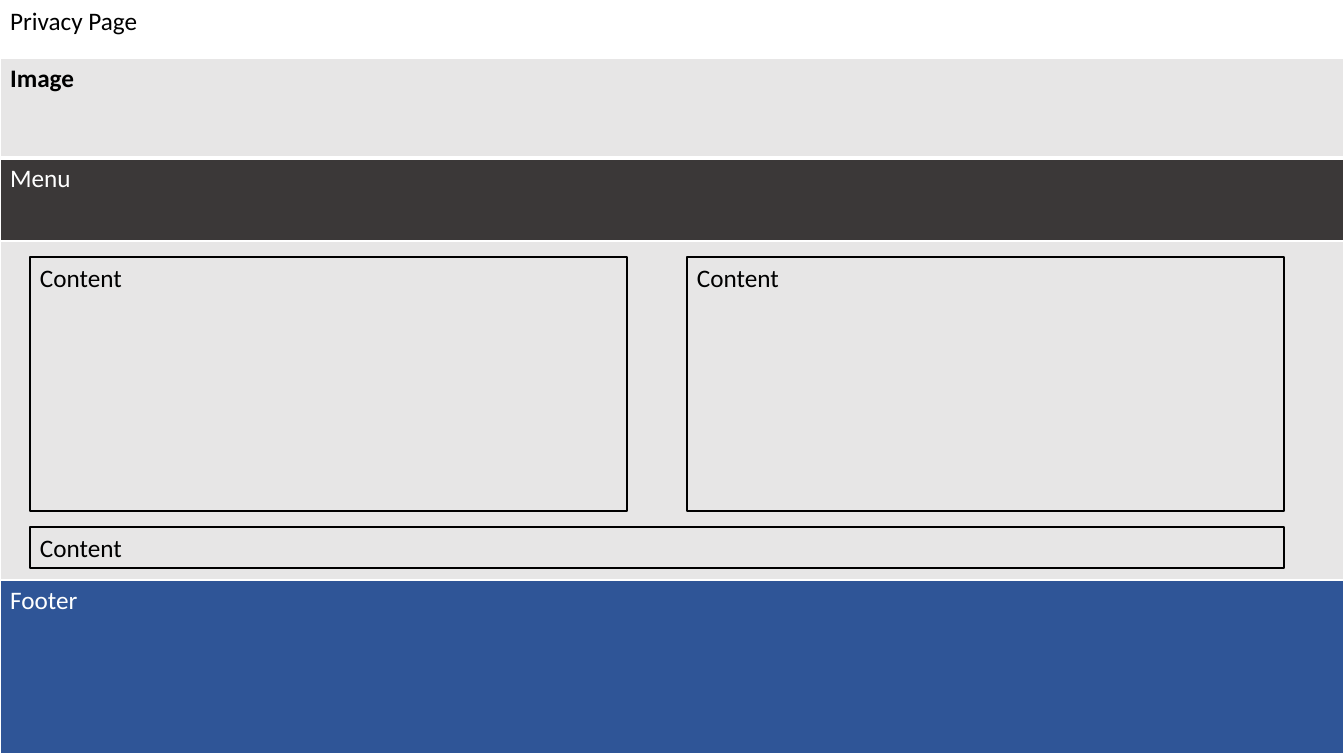
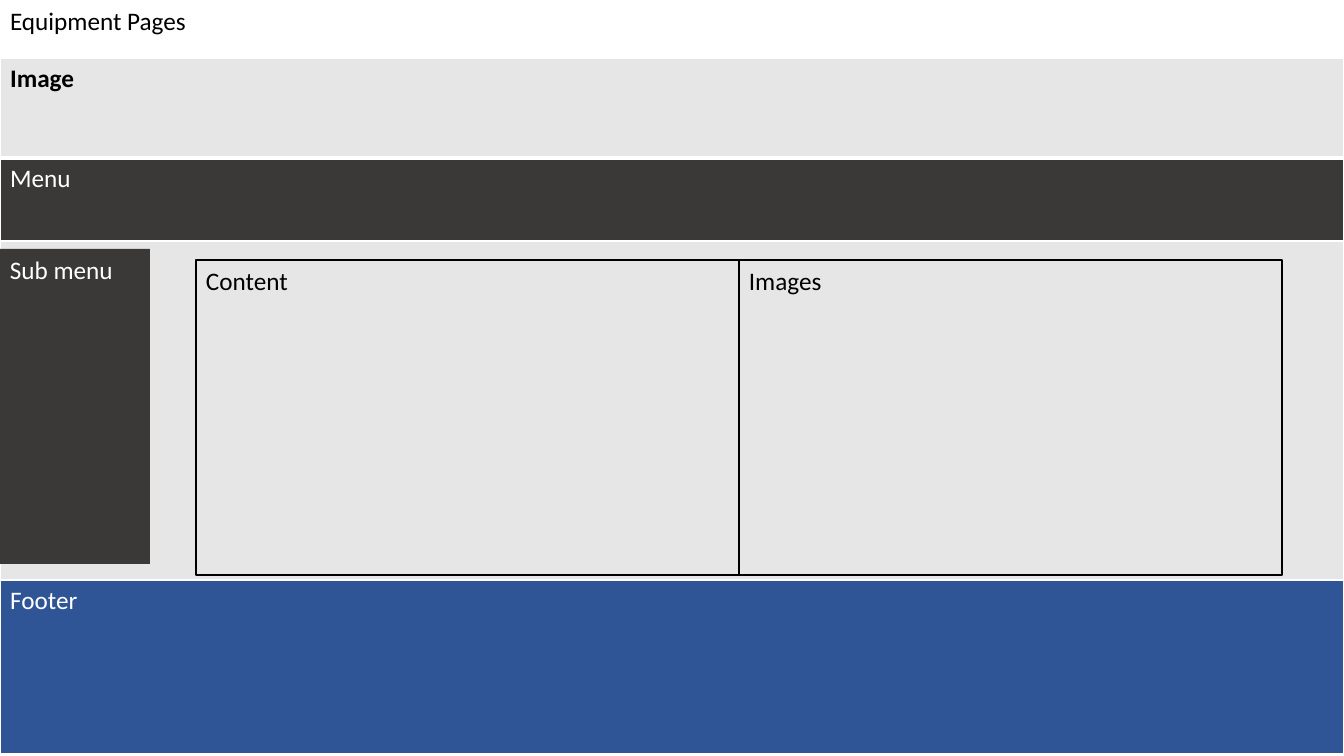
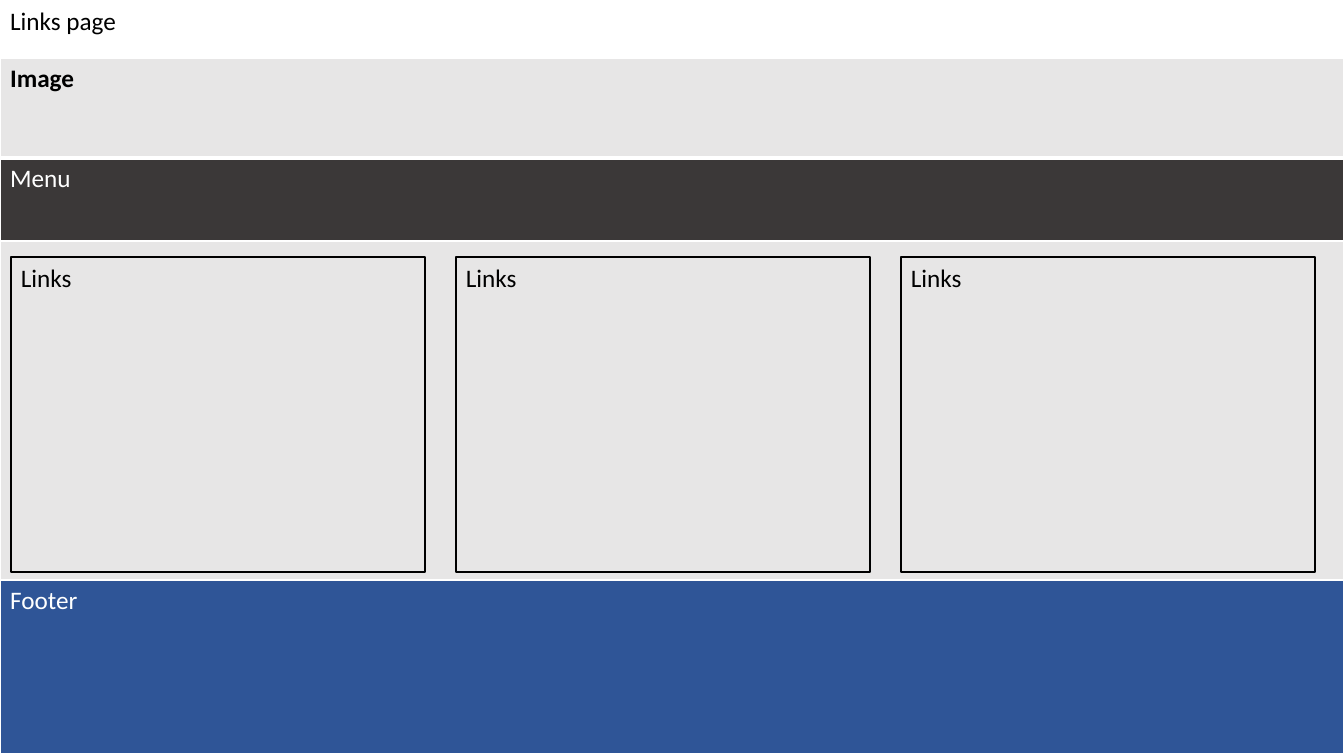
from lxml.etree import SubElement
from pptx import Presentation
from pptx.dml.color import RGBColor
from pptx.enum.shapes import MSO_SHAPE as Preset
from pptx.enum.text import MSO_ANCHOR as Anchor, MSO_AUTO_SIZE as AutoSize, PP_ALIGN as Align
from pptx.oxml.ns import qn
from pptx.util import Emu, Pt

SCALE = 12192000 / 1344
WIDTH, HEIGHT = 1344, 756
BLACK, WHITE = "000000", "FFFFFF"
LIGHT, DARK, BLUE = "E7E6E6", "3B3838", "2F5597"
BANDS = [
    ("Image", 100, LIGHT, BLACK),
    ("Menu", 83, DARK, WHITE),
    ("", 339, LIGHT, BLACK),
    ("Footer", 174, BLUE, WHITE),
]
TITLE_HEIGHT = 40
BANDS_TOP = 58


def px(length):
    """Turn picture pixels into EMU."""
    return Emu(round(length * SCALE))


def color(value):
    """Turn a hex string into a colour."""
    return RGBColor.from_string(value)


def write(frame, text, ink=BLACK, bold=False, size=18, font="Calibri"):
    """Write one left-aligned line at the top of a text frame."""
    frame.word_wrap = True
    frame.vertical_anchor = Anchor.TOP
    paragraph = frame.paragraphs[0]
    paragraph.alignment = Align.LEFT
    run = paragraph.add_run()
    run.text = text
    run.font.name, run.font.size, run.font.bold = font, Pt(size), bold
    run.font.color.rgb = color(ink)


def set_borders(cell, **widths):
    """Give a cell white borders, with widths in points per side."""
    properties = cell._tc.get_or_add_tcPr()
    for side in "LRTB":
        line = SubElement(properties, qn(f"a:ln{side}"), w=str(Pt(widths.get(side, 1))))
        fill = SubElement(line, qn("a:solidFill"))
        SubElement(fill, qn("a:srgbClr"), val=WHITE)


class Wireframe:
    """Draws page wireframes that share a title and page bands."""

    def __init__(self):
        """Start an empty widescreen presentation."""
        self.presentation = Presentation()
        self.presentation.slide_width = px(WIDTH)
        self.presentation.slide_height = px(HEIGHT)
        self.slide = None

    def page(self, title):
        """Add a slide with its title and page bands."""
        layout = self.presentation.slide_layouts.get_by_name("Title Only")
        self.slide = self.presentation.slides.add_slide(layout)
        self.title(title)
        self.bands()

    def title(self, text):
        """Place the title along the top edge."""
        shape = self.slide.shapes.title
        shape.left, shape.top = px(0), px(0)
        shape.width, shape.height = px(WIDTH), px(TITLE_HEIGHT)
        write(shape.text_frame, text)
        shape.text_frame.auto_size = AutoSize.SHAPE_TO_FIT_TEXT

    def bands(self):
        """Add the table of full-width page bands."""
        total = sum(height for _, height, _, _ in BANDS)
        table = self.slide.shapes.add_table(
            len(BANDS), 1, px(0), px(BANDS_TOP), px(WIDTH), px(total)).table
        table.first_row = table.horz_banding = False
        for index, (text, height, fill, ink) in enumerate(BANDS):
            table.rows[index].height = px(height)
            cell = table.cell(index, 0)
            set_borders(cell, T=3 if index == 1 else 1, B=3 if index == 0 else 1)
            cell.fill.solid()
            cell.fill.fore_color.rgb = color(fill)
            if text:
                write(cell.text_frame, text, ink=ink, bold=index == 0)

    def box(self, text, left, top, width, height, fill=LIGHT, ink=BLACK, outline=BLACK):
        """Add a labelled rectangle."""
        shape = self.slide.shapes.add_shape(
            Preset.RECTANGLE, px(left), px(top), px(width), px(height))
        shape.shadow.inherit = False
        shape.fill.solid()
        shape.fill.fore_color.rgb = color(fill)
        if outline:
            shape.line.color.rgb = color(outline)
            shape.line.width = Pt(1)
        else:
            shape.line.fill.background()
        write(shape.text_frame, text, ink=ink)

    def box_row(self, labels, left, top, width, height, gap=0):
        """Add equal boxes side by side."""
        for index, label in enumerate(labels):
            self.box(label, left + index * (width + gap), top, width, height)


def main():
    """Build and save the three pages."""
    wireframe = Wireframe()

    wireframe.page("Privacy Page")
    wireframe.box_row(["Content"] * 2, 30, 257, 597, 254, gap=60)
    wireframe.box("Content", 30, 527, 1254, 41)

    wireframe.page("Equipment Pages")
    wireframe.box("Sub menu", 0, 249, 150, 315, fill=DARK, ink=WHITE, outline=None)
    wireframe.box_row(["Content", "Images"], 196, 260, 543, 315)

    wireframe.page("Links page")
    wireframe.box_row(["Links"] * 3, 11, 257, 414, 315, gap=31)

    wireframe.presentation.save("out.pptx")


main()
